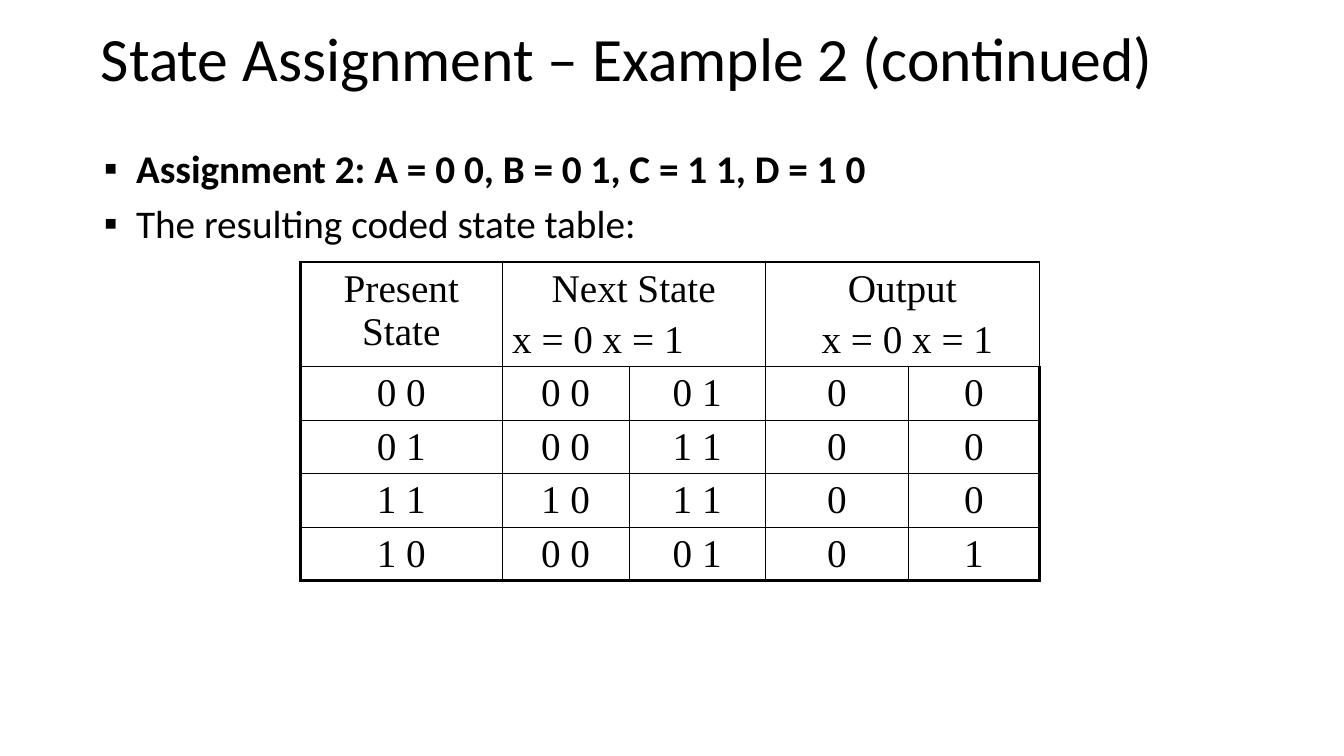
from pptx import Presentation
from pptx import util as u
from pptx.dml.color import RGBColor
from pptx.enum import text
from pptx.oxml.ns import qn
from lxml import etree

BLACK = RGBColor(0, 0, 0)
WHITE = RGBColor(255, 255, 255)
CENTER = text.PP_ALIGN.CENTER
LEFT = text.PP_ALIGN.LEFT
COLUMN_WIDTHS = [2, 1.26, 1.35, 1.42, 1.3]
ROW_HEIGHTS = [0.72] + [0.39] * 4
STATES = [
    ["0 0", "0 0", "0 1", "0", "0"],
    ["0 1", "0 0", "1 1", "0", "0"],
    ["1 1", "1 0", "1 1", "0", "0"],
    ["1 0", "0 0", "0 1", "0", "1"],
]


def write(frame, words, *, size=28, font="Calibri", bold=False, align=LEFT,
          before=0, bullet=None, first=True):
    para = frame.paragraphs[0] if first else frame.add_paragraph()
    para.alignment = align
    para.space_before = u.Pt(before)
    if bullet:
        properties = para._p.get_or_add_pPr()
        properties.set("marL", str(u.Inches(0.32)))
        properties.set("indent", str(-u.Inches(0.32)))
        color = etree.SubElement(properties, qn("a:buClr"))
        etree.SubElement(color, qn("a:srgbClr"), val=str(BLACK))
        etree.SubElement(properties, qn("a:buFont"), typeface="Arial")
        etree.SubElement(properties, qn("a:buChar"), char=bullet)
    span = para.add_run()
    span.text = words
    span.font.size = u.Pt(size)
    span.font.name = font
    span.font.bold = bold
    span.font.color.rgb = BLACK


def place(box, left, top, width, height, anchor):
    box.left, box.top = u.Inches(left), u.Inches(top)
    box.width, box.height = u.Inches(width), u.Inches(height)
    frame = box.text_frame
    frame.word_wrap = True
    frame.auto_size = text.MSO_AUTO_SIZE.NONE
    frame.vertical_anchor = anchor
    return frame


def style_cell(cell, row, column):
    outer = {"lnL": column == 0, "lnR": column == len(COLUMN_WIDTHS) - 1,
             "lnT": row == 0, "lnB": row == len(ROW_HEIGHTS) - 1}
    properties = cell._tc.get_or_add_tcPr()
    for side, thick in outer.items():
        line = etree.SubElement(properties, qn(f"a:{side}"),
                                w=str(u.Pt(2.25 if thick else 1)))
        fill = etree.SubElement(line, qn("a:solidFill"))
        etree.SubElement(fill, qn("a:srgbClr"), val=str(BLACK))
    cell.fill.background()


def add_state_table(page):
    box = page.shapes.add_table(
        len(ROW_HEIGHTS), len(COLUMN_WIDTHS), u.Inches(2.98), u.Inches(2.6),
        u.Inches(7.33), u.Inches(3.38))
    table = box.table
    table.first_row = table.horz_banding = False
    for column, width in zip(table.columns, COLUMN_WIDTHS):
        column.width = u.Inches(width)
    for row, height in zip(table.rows, ROW_HEIGHTS):
        row.height = u.Inches(height)
    box.height = u.Inches(3.38)
    for row in range(len(ROW_HEIGHTS)):
        for column in range(len(COLUMN_WIDTHS)):
            style_cell(table.cell(row, column), row, column)

    def write_cell(row, column, words, **style):
        write(table.cell(row, column).text_frame, words,
              **{"font": "Times New Roman", "align": CENTER, **style})

    write_cell(0, 0, "Present State")
    for column, heading, inputs, align in [
            (1, "Next State", "x = 0 x = 1", LEFT),
            (3, "Output", " x = 0 x = 1", CENTER)]:
        table.cell(0, column).merge(table.cell(0, column + 1))
        write_cell(0, column, heading)
        write_cell(0, column, inputs, align=align, before=5.6, first=False)
    for row, values in enumerate(STATES, 1):
        for column, value in enumerate(values):
            write_cell(row, column, value)


def main():
    deck = Presentation()
    deck.slide_width, deck.slide_height = u.Inches(13.33), u.Inches(7.5)
    page = deck.slides.add_slide(deck.slide_layouts[1])
    page.background.fill.solid()
    page.background.fill.fore_color.rgb = WHITE
    title = place(page.shapes.title, 0.9, 0, 12.44, 1.12,
                  text.MSO_ANCHOR.MIDDLE)
    write(title, "State Assignment – Example 2 (continued)", size=44)
    body = place(page.placeholders[1], 0.93, 1.38, 11.33, 1.95,
                 text.MSO_ANCHOR.TOP)
    write(body, "Assignment 2: A = 0 0, B = 0 1, C = 1 1, D = 1 0",
          bold=True, bullet="▪")
    write(body, "The resulting coded state table:", bullet="▪",
          before=5.6, first=False)
    add_state_table(page)
    deck.save("out.pptx")


if __name__ == "__main__":
    main()
